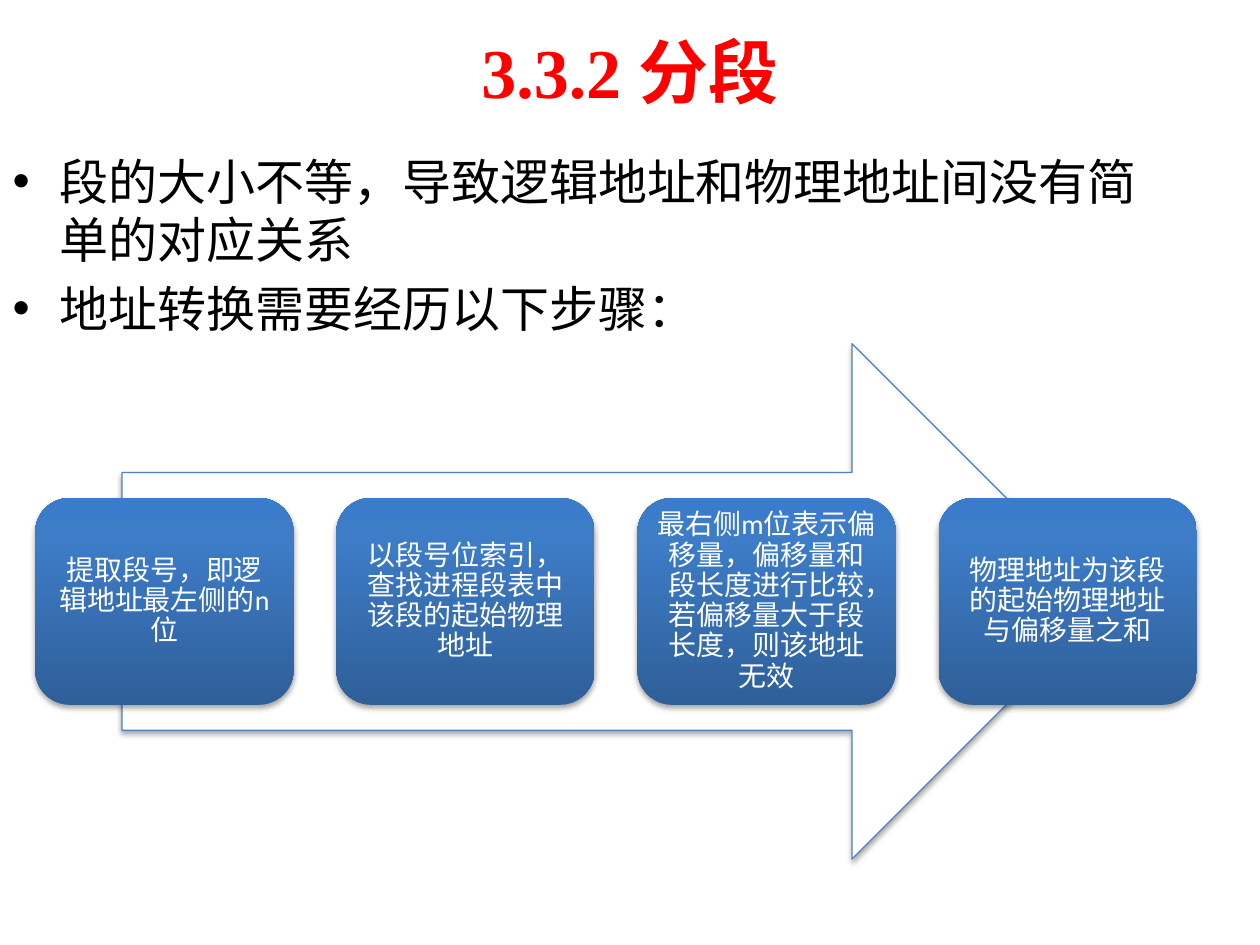
from dataclasses import dataclass

from lxml.etree import SubElement
from pptx import Presentation
from pptx.dml.color import RGBColor as RGB
from pptx.enum.shapes import MSO_SHAPE as Shape
from pptx.enum.text import MSO_ANCHOR as Anchor, PP_ALIGN as Align
from pptx.oxml.ns import qn
from pptx.util import Cm, Pt

TITLE = "3.3.2 分段"
POINTS = [
    "段的大小不等，导致逻辑地址和物理地址间没有简单的对应关系",
    "地址转换需要经历以下步骤：",
]
STEPS = [
    "提取段号，即逻辑地址最左侧的n位",
    "以段号位索引，查找进程段表中该段的起始物理地址",
    "最右侧m位表示偏移量，偏移量和段长度进行比较，若偏移量大于段长度，则该地址无效",
    "物理地址为该段的起始物理地址与偏移量之和",
]


@dataclass(frozen=True)
class Theme:
    title_font: str = "Times New Roman"
    body_font: str = "Arial"
    step_font: str = "Calibri"
    title_size: int = 40
    body_size: int = 28
    step_size: int = 16
    title: str = "FE0000"
    body: str = "000000"
    white: str = "FFFFFF"
    outline: str = "4F81BD"
    shadow: str = "000000"
    step_fill: tuple = ((0, "2F5F99"), (80, "3D7CC7"), (100, "3A7CCB"))


THEME = Theme()

# left, top, width, height in cm
TITLE_BOX = (0, 0.13, 25.4, 2.59)
BODY_BOX = (0, 2.92, 23.9, 11.89)
ARROW_BOX = (2.46, 6.93, 19.91, 10.39)
STEP_LEFT, STEP_WIDTH, STEP_HEIGHT, STEP_GAP = 0.71, 5.21, 4.17, 0.86
STEP_INSET = 0.18


def place(part, box):
    part.left, part.top, part.width, part.height = map(Cm, box)


def write(paragraph, text, font, size, color, bold=None):
    run = paragraph.add_run()
    run.text = text
    run.font.name, run.font.size, run.font.bold = font, Pt(size), bold
    run.font.color.rgb = RGB.from_string(color)


def add_color(parent, color):
    return SubElement(parent, qn("a:srgbClr"), val=color)


def drop_shadow(part):
    """Soft shadow straight below the shape."""
    part.shadow.inherit = False
    effects = part._element.spPr.find(qn("a:effectLst"))
    shadow = SubElement(effects, qn("a:outerShdw"), blurRad="40000",
                        dist="23000", dir="5400000", rotWithShape="0")
    SubElement(add_color(shadow, THEME.shadow), qn("a:alpha"), val="35000")


def shade(part, stops):
    """Vertical gradient whose first stop lies at the bottom."""
    part.fill.gradient()
    part.fill.gradient_angle = 90
    stop_list = part._element.spPr.find(f".//{qn('a:gsLst')}")
    for old_stop in list(stop_list):
        stop_list.remove(old_stop)
    for percent, color in stops:
        add_color(SubElement(stop_list, qn("a:gs"), pos=str(percent * 1000)), color)


def add_title(slide):
    title = slide.shapes.title
    place(title, TITLE_BOX)
    title.text_frame.vertical_anchor = Anchor.MIDDLE
    heading = title.text_frame.paragraphs[0]
    heading.alignment = Align.CENTER
    write(heading, TITLE, THEME.title_font, THEME.title_size, THEME.title, True)


def add_points(slide):
    body = slide.placeholders[1]
    place(body, BODY_BOX)
    frame = body.text_frame
    for index, point in enumerate(POINTS):
        paragraph = frame.add_paragraph() if index else frame.paragraphs[0]
        if index == 0:
            paragraph.space_before = Pt(0)
        write(paragraph, point, THEME.body_font, THEME.body_size, THEME.body)


def add_arrow(slide):
    arrow = slide.shapes.add_shape(Shape.RIGHT_ARROW, *map(Cm, ARROW_BOX))
    arrow.fill.solid()
    arrow.fill.fore_color.rgb = RGB.from_string(THEME.white)
    arrow.line.color.rgb = RGB.from_string(THEME.outline)
    arrow.line.width = Pt(0.75)
    drop_shadow(arrow)


def add_steps(slide):
    _, arrow_top, _, arrow_height = ARROW_BOX
    top = arrow_top + (arrow_height - STEP_HEIGHT) / 2
    for index, text in enumerate(STEPS):
        left = STEP_LEFT + index * (STEP_WIDTH + STEP_GAP)
        step = slide.shapes.add_shape(
            Shape.ROUNDED_RECTANGLE, *map(Cm, (left, top, STEP_WIDTH, STEP_HEIGHT)))
        shade(step, THEME.step_fill)
        step.line.fill.background()
        drop_shadow(step)
        frame = step.text_frame
        frame.word_wrap = True
        frame.vertical_anchor = Anchor.MIDDLE
        frame.margin_left = frame.margin_right = Cm(STEP_INSET)
        frame.margin_top = frame.margin_bottom = Cm(STEP_INSET)
        paragraph = frame.paragraphs[0]
        paragraph.alignment = Align.CENTER
        paragraph.line_spacing = 0.9
        write(paragraph, text, THEME.step_font, THEME.step_size, THEME.white)


def main():
    deck = Presentation()
    deck.slide_width, deck.slide_height = Cm(25.4), Cm(19.05)
    slide = deck.slides.add_slide(deck.slide_layouts[1])
    add_points(slide)
    add_title(slide)
    add_arrow(slide)
    add_steps(slide)
    deck.save("out.pptx")


if __name__ == "__main__":
    main()
